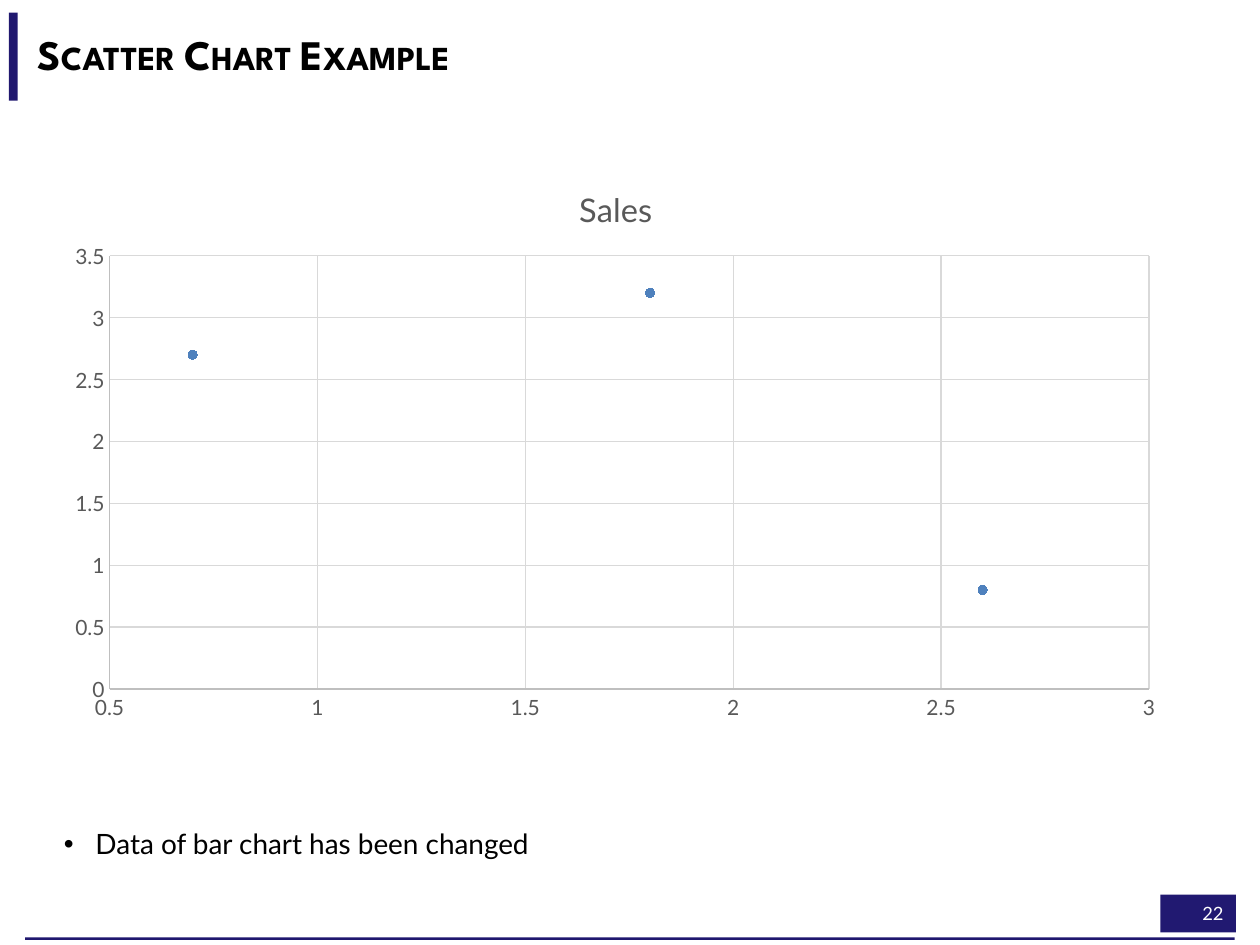
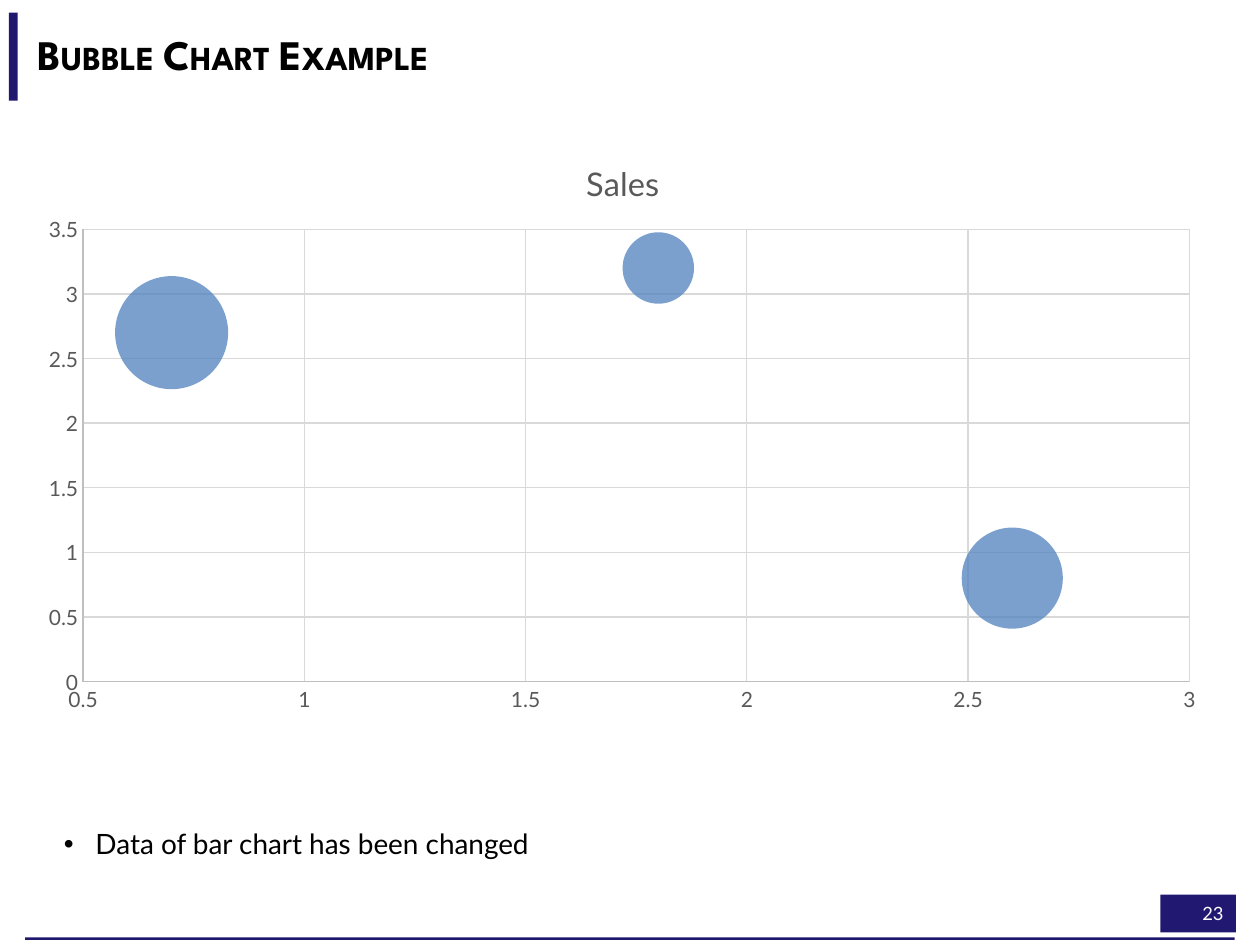
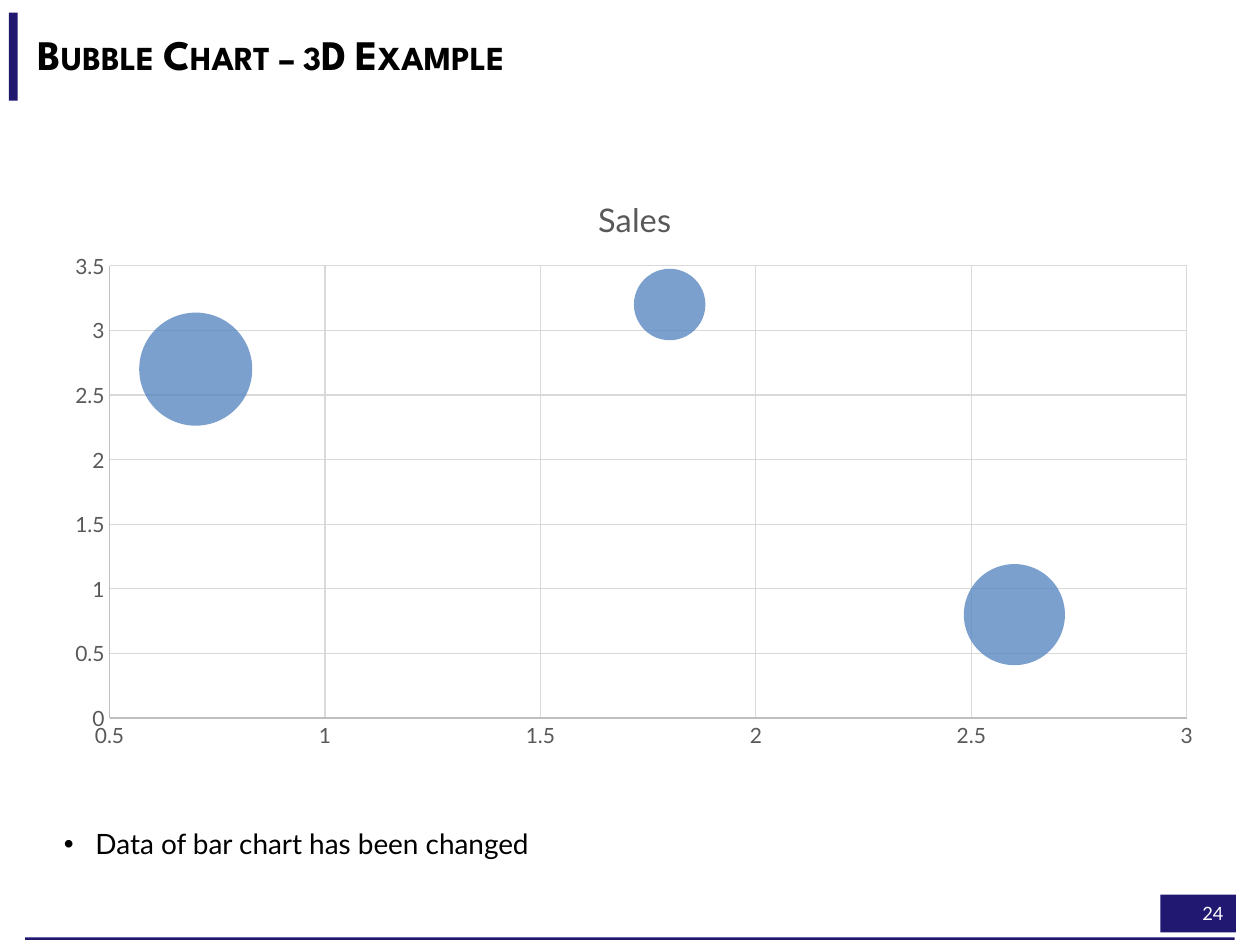
from dataclasses import dataclass

from lxml import etree
from pptx import Presentation
from pptx.chart import data as chart_data
from pptx.dml.color import RGBColor
from pptx.enum import chart as ch, shapes, text
from pptx.oxml import ns
from pptx.util import Inches, Pt


@dataclass(frozen=True)
class Theme:
    number_box: str = "211971"
    rule: str = "20186F"
    white: str = "FFFFFF"
    ink: str = "000000"
    label: str = "595959"
    axis: str = "BFBFBF"
    grid: str = "D9D9D9"
    data: str = "4F81BD"
    heading_font: str = "League Spartan"
    body_font: str = "Lato"
    heading_size: float = 24
    body_size: float = 16
    number_size: float = 10.5
    chart_title_size: float = 18.6
    axis_size: float = 12
    chart_size: float = 10
    hairline: float = 0.75


@dataclass(frozen=True)
class Box:
    left: float
    top: float
    width: float
    height: float

    def lengths(self):
        return [Inches(v) for v in (self.left, self.top, self.width, self.height)]


THEME = Theme()
TITLE_BAND = Box(0.2, 0.1, 9.6, 0.7)
FOOTER = Box(0.2, 7.1, 9.6, 0.36)
NOTE = Box(0.41, 6.54, 8.94, 0.86)

FIRST_NUMBER = 22
NOTE_TEXT = "Data of bar chart has been changed"
CHART_TITLE = "Sales"
# Space between the chart frame and its axes
PLOT_LEFT, PLOT_TOP, PLOT_RIGHT, PLOT_BOTTOM = 0.46, 0.8, 0.23, 0.34

SCATTER_POINTS = [(0.7, 2.7), (1.8, 3.2), (2.6, 0.8)]
BUBBLE_SIZES = [10, 4, 8]
SLIDES = [
    ("Scatter Chart Example", ch.XL_CHART_TYPE.XY_SCATTER, Box(0.41, 1.23, 8.94, 4.58)),
    ("Bubble Chart Example", ch.XL_CHART_TYPE.BUBBLE, Box(0.2, 1.02, 9.47, 4.73)),
    ("Bubble Chart – 3D Example", ch.XL_CHART_TYPE.BUBBLE, Box(0.41, 1.31, 9.24, 4.73)),
]


def style_font(font, name, size, color, bold=False):
    font.name, font.size, font.bold = name, Pt(size), bold
    font.color.rgb = RGBColor.from_string(color)


def fill_solid(fill, color, opacity=100):
    """Fill with a colour; opacity is a percentage."""
    fill.solid()
    fill.fore_color.rgb = RGBColor.from_string(color)
    if opacity < 100:
        solid = fill._xPr.find(ns.qn("a:solidFill"))
        etree.SubElement(solid[0], ns.qn("a:alpha"), val=str(opacity * 1000))


def add_rectangle(slide, box, color, opacity=100):
    rectangle = slide.shapes.add_shape(shapes.MSO_SHAPE.RECTANGLE, *box.lengths())
    rectangle.shadow.inherit = False
    fill_solid(rectangle.fill, color, opacity)
    rectangle.line.fill.background()
    return rectangle


def write_line(shape, words, align, anchor, name, size, color, bold=False):
    """Put one run into the shape's first paragraph; return both."""
    frame = shape.text_frame
    frame.word_wrap = True
    frame.vertical_anchor = anchor
    paragraph = frame.paragraphs[0]
    paragraph.alignment = align
    run = paragraph.add_run()
    run.text = words
    style_font(run.font, name, size, color, bold)
    return paragraph, run


def add_title(slide, box, words):
    add_rectangle(slide, Box(box.left - 0.13, box.top, 0.07, box.height), THEME.rule)
    band = add_rectangle(slide, box, THEME.white, opacity=50)
    paragraph, run = write_line(band, words, text.PP_ALIGN.LEFT, text.MSO_ANCHOR.MIDDLE,
                                THEME.heading_font, THEME.heading_size, THEME.ink, bold=True)
    paragraph.line_spacing = 0.9
    run.font._element.set("cap", "small")


def add_footer(slide, box, number):
    right, bottom = box.left + box.width, box.top + box.height
    number_box = add_rectangle(slide, Box(right - 0.59, box.top, 0.6, 0.3), THEME.number_box)
    write_line(number_box, str(number), text.PP_ALIGN.RIGHT, text.MSO_ANCHOR.MIDDLE,
               THEME.body_font, THEME.number_size, THEME.white)
    add_rectangle(slide, Box(box.left, bottom - 0.02, box.width, 0.02), THEME.rule)


def add_note(slide, box, words):
    note = slide.shapes.add_textbox(*box.lengths())
    paragraph, _ = write_line(note, words, text.PP_ALIGN.LEFT, text.MSO_ANCHOR.TOP,
                              THEME.body_font, THEME.body_size, THEME.ink)
    paragraph.line_spacing = 0.9
    paragraph.space_before = Pt(10)
    properties = paragraph._p.get_or_add_pPr()
    properties.set("marL", str(Inches(0.25)))
    properties.set("indent", str(Inches(-0.25)))
    etree.SubElement(properties, ns.qn("a:buFont"), typeface="Arial")
    etree.SubElement(properties, ns.qn("a:buChar"), char="•")


def place_in_chart(part, index, **settings):
    """Give a chart part a manual layout, as its child at the index."""
    for old in part.findall(ns.qn("c:layout")):
        part.remove(old)
    layout = etree.Element(ns.qn("c:layout"))
    manual = etree.SubElement(layout, ns.qn("c:manualLayout"))
    for tag, value in settings.items():
        etree.SubElement(manual, ns.qn(f"c:{tag}"), val=str(value))
    part.insert(index, layout)


def style_axis(axis, low, high):
    axis.minimum_scale, axis.maximum_scale, axis.major_unit = low, high, 0.5
    axis.major_tick_mark = axis.minor_tick_mark = ch.XL_TICK_MARK.NONE
    axis.has_major_gridlines = True
    style_font(axis.tick_labels.font, THEME.body_font, THEME.axis_size, THEME.label)
    for line, color in ((axis.format.line, THEME.axis),
                        (axis.major_gridlines.format.line, THEME.grid)):
        line.color.rgb = RGBColor.from_string(color)
        line.width = Pt(THEME.hairline)


def style_chart_title(chart, box):
    chart.has_title = True
    run = chart.chart_title.text_frame.paragraphs[0].add_run()
    run.text = CHART_TITLE
    style_font(run.font, THEME.body_font, THEME.chart_title_size, THEME.label)
    place_in_chart(chart.chart_title._element, 1, xMode="edge", yMode="edge",
                   x=(box.width / 2 - 0.33) / box.width, y=0.2 / box.height)


def style_points(plot, is_bubble):
    series = plot.series[0]
    series.format.line.fill.background()
    if is_bubble:  # a bubble plot already starts with one colour for all points
        fill_solid(series.format.fill, THEME.data, opacity=75)
        return
    plot.vary_by_categories = False
    marker = series.marker
    marker.style, marker.size = ch.XL_MARKER_STYLE.CIRCLE, 5
    fill_solid(marker.format.fill, THEME.data)
    marker.format.line.color.rgb = RGBColor.from_string(THEME.data)


def add_sales_chart(slide, box, kind):
    is_bubble = kind == ch.XL_CHART_TYPE.BUBBLE
    sales = chart_data.BubbleChartData() if is_bubble else chart_data.XyChartData()
    points = sales.add_series("Series 1")
    for (x, y), size in zip(SCATTER_POINTS, BUBBLE_SIZES):
        points.add_data_point(*((x, y, size) if is_bubble else (x, y)))

    chart = slide.shapes.add_chart(kind, *box.lengths(), sales).chart
    chart.has_legend = False
    style_font(chart.font, THEME.body_font, THEME.chart_size, THEME.ink)
    style_chart_title(chart, box)
    style_axis(chart.category_axis, 0.5, 3)
    style_axis(chart.value_axis, 0, 3.5)
    style_points(chart.plots[0], is_bubble)
    place_in_chart(chart._chartSpace.chart.plotArea, 0,
                   layoutTarget="inner", xMode="edge", yMode="edge",
                   x=PLOT_LEFT / box.width, y=PLOT_TOP / box.height,
                   w=1 - (PLOT_LEFT + PLOT_RIGHT) / box.width,
                   h=1 - (PLOT_TOP + PLOT_BOTTOM) / box.height)


def add_chart_slide(deck, number, title, kind, chart_box):
    slide = deck.slides.add_slide(deck.slide_layouts[6])
    add_footer(slide, FOOTER, number)
    add_title(slide, TITLE_BAND, title)
    add_note(slide, NOTE, NOTE_TEXT)
    add_sales_chart(slide, chart_box, kind)


def main():
    deck = Presentation()
    deck.slide_width, deck.slide_height = Inches(10), Inches(7.5)
    for number, (title, kind, chart_box) in enumerate(SLIDES, FIRST_NUMBER):
        add_chart_slide(deck, number, title, kind, chart_box)
    deck.save("out.pptx")


if __name__ == "__main__":
    main()
